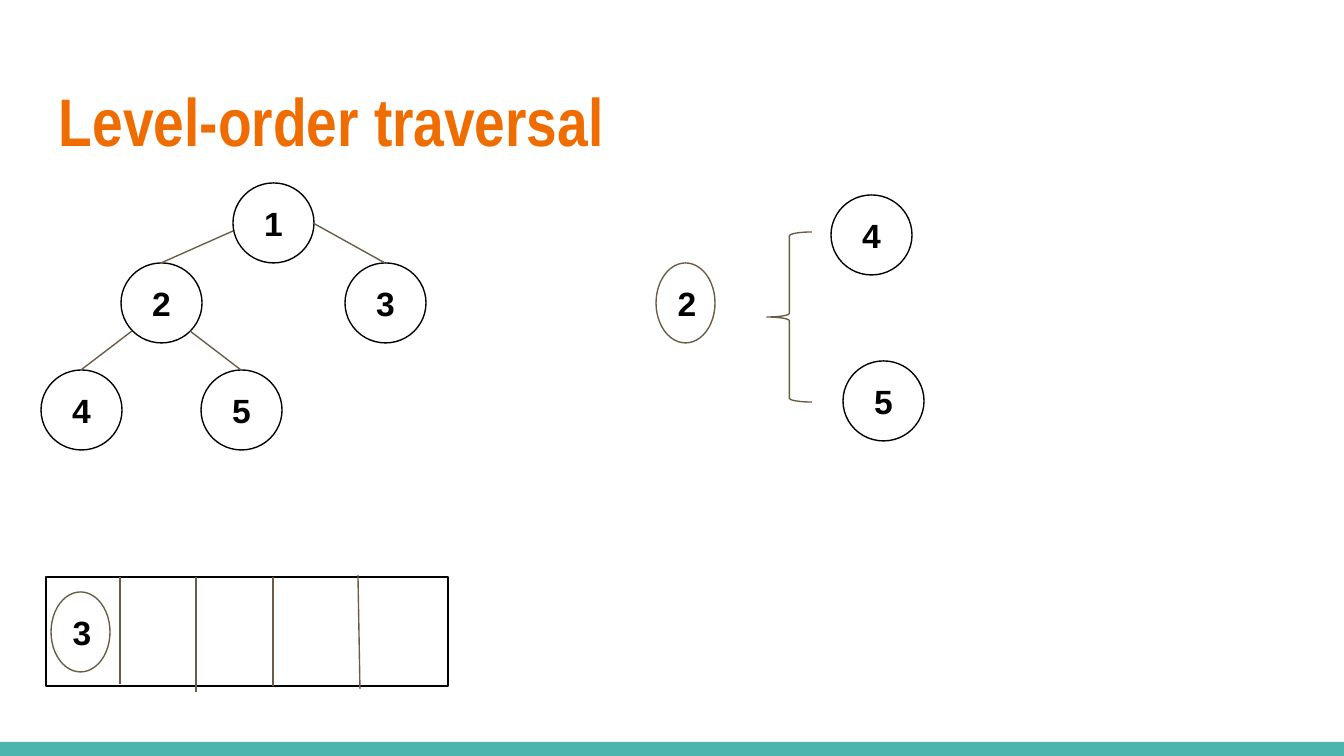
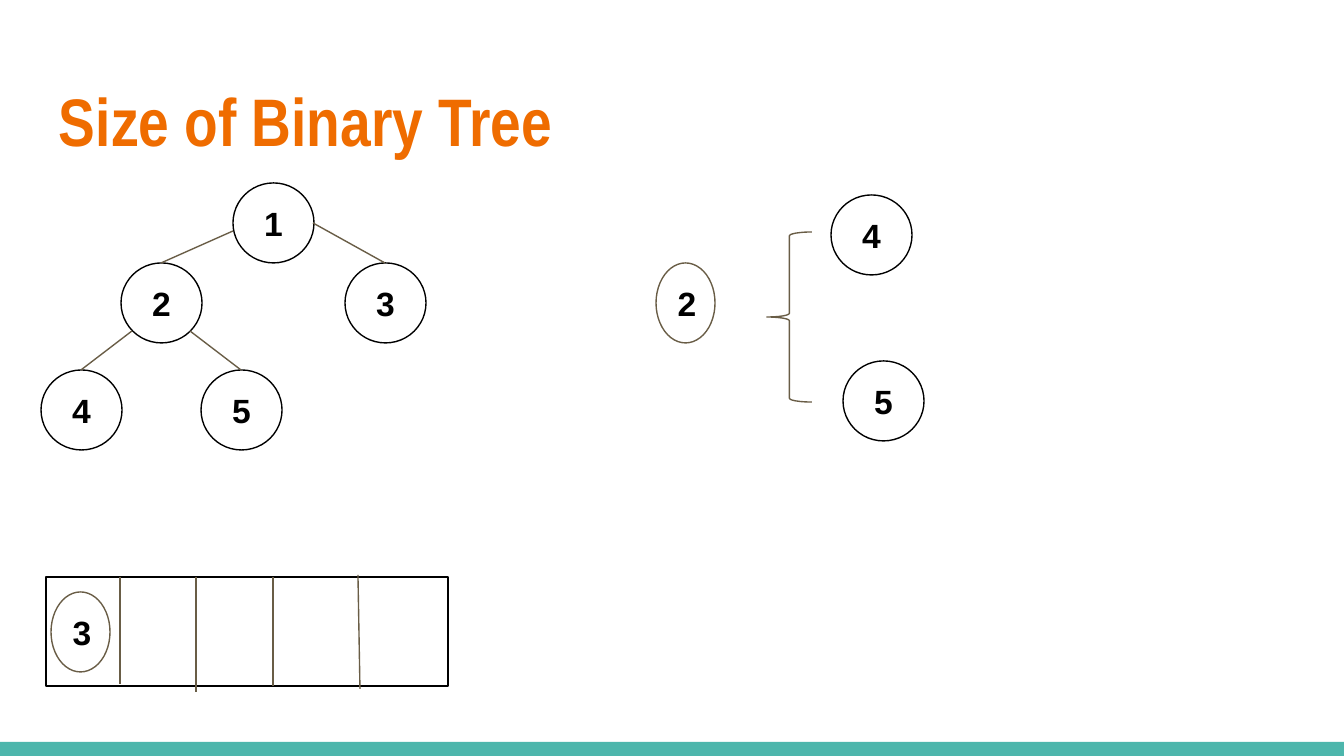
from dataclasses import dataclass

from lxml.etree import SubElement
from pptx import Presentation
from pptx.dml.color import RGBColor as Rgb
from pptx.enum.shapes import MSO_CONNECTOR as Link, MSO_SHAPE as Shape
from pptx.enum.text import MSO_ANCHOR as Anchor, PP_ALIGN as Align
from pptx.oxml.ns import qn
from pptx.util import Pt

TITLES = ["Level-order traversal", "Size of Binary Tree"]
TREE_NODES = {"1": (273, 223), "3": (385, 303), "2": (161, 303), "4": (81, 410), "5": (241, 410)}
TREE_EDGES = [
    ("1", "2", (-40, 8)),
    ("2", "4", (-29, 28)),
    ("1", "3", (40, 0)),
    ("2", "5", (29, 28)),
]
QUEUE_BOX = (46, 577, 402, 109)
QUEUE_DIVIDERS = [
    ((120, 577), (120, 684)),
    ((196, 577), (196, 692)),
    ((273, 577), (273, 686)),
    ((358, 575), (360, 689)),
]
TOKENS = [("3", (80, 632)), ("2", (685, 303))]
BRACE_BOX = (767, 232, 45, 170)
CHILDREN = [("4", (871, 235)), ("5", (883, 401))]

PAGE = (1344, 756)
FOOTER_BOX = (0, 742, 1344, 14)
TITLE_BOX = (46, 66, 1252, 103)
NODE_SIZE = (81, 80)
TOKEN_SIZE = (59, 80)
INSET = 13


@dataclass(frozen=True)
class Theme:
    paper: Rgb = Rgb.from_string("FFFFFF")
    ink: Rgb = Rgb.from_string("000000")
    title: Rgb = Rgb.from_string("EF6C00")
    footer: Rgb = Rgb.from_string("4DB6AC")
    line: Rgb = Rgb.from_string("695D46")
    title_font: str = "Arial Narrow"
    label_font: str = "Arial"
    title_size: int = 36
    label_size: int = 18
    stroke: float = 0.75


THEME = Theme()


def px(*lengths):
    return [round(length * 914400 / 134.4) for length in lengths]


def write(holder, text, font, size, color, align, anchor):
    frame = holder.text_frame
    frame.word_wrap = True
    frame.vertical_anchor = anchor
    inset, = px(INSET)
    frame.margin_left = frame.margin_right = inset
    frame.margin_top = frame.margin_bottom = inset
    paragraph = frame.paragraphs[0]
    paragraph.alignment = align
    run = paragraph.add_run()
    run.text = text
    run.font.name = font
    run.font.size = Pt(size)
    run.font.bold = True
    run.font.color.rgb = color


def draw(slide, kind, box, fill=None, line=None):
    figure = slide.shapes.add_shape(kind, *px(*box))
    figure.shadow.inherit = False
    if fill is None:
        figure.fill.background()
    else:
        figure.fill.solid()
        figure.fill.fore_color.rgb = fill
    if line is None:
        figure.line.fill.background()
    else:
        figure.line.color.rgb = line
        figure.line.width = Pt(THEME.stroke)
    return figure


def draw_circle(slide, label, center, size=NODE_SIZE, line=THEME.ink, align=Align.CENTER):
    (x, y), (width, height) = center, size
    box = (x - width // 2, y - height // 2, width, height)
    circle = draw(slide, Shape.OVAL, box, THEME.paper, line)
    write(circle, label, THEME.label_font, THEME.label_size, THEME.ink, align, Anchor.MIDDLE)


def draw_line(slide, start, end):
    stroke = slide.shapes.add_connector(Link.STRAIGHT, *px(*start, *end))
    stroke.line.color.rgb = THEME.line
    stroke.line.width = Pt(THEME.stroke)
    SubElement(stroke._element.spPr, qn("a:effectLst"))


def draw_tree(slide):
    for label, center in TREE_NODES.items():
        draw_circle(slide, label, center)
    for parent, child, (dx, dy) in TREE_EDGES:
        x, y = TREE_NODES[parent]
        child_x, child_y = TREE_NODES[child]
        draw_line(slide, (x + dx, y + dy), (child_x, child_y - NODE_SIZE[1] // 2))


def draw_queue(slide):
    draw(slide, Shape.RECTANGLE, QUEUE_BOX, THEME.paper, THEME.ink)
    for start, end in QUEUE_DIVIDERS:
        draw_line(slide, start, end)


def draw_visit(slide):
    for label, center in TOKENS:
        draw_circle(slide, label, center, TOKEN_SIZE, THEME.line, Align.LEFT)
    draw(slide, Shape.LEFT_BRACE, BRACE_BOX, line=THEME.line)
    for label, center in CHILDREN:
        draw_circle(slide, label, center)


def add_page(deck, title):
    slide = deck.slides.add_slide(deck.slide_layouts[6])
    slide.background.fill.solid()
    slide.background.fill.fore_color.rgb = THEME.paper
    draw(slide, Shape.RECTANGLE, FOOTER_BOX, THEME.footer)
    heading = slide.shapes.add_textbox(*px(*TITLE_BOX))
    write(heading, title, THEME.title_font, THEME.title_size, THEME.title, Align.LEFT, Anchor.TOP)
    draw_tree(slide)
    draw_queue(slide)
    draw_visit(slide)


def main():
    """Build the binary tree slides."""
    deck = Presentation()
    deck.slide_width, deck.slide_height = px(*PAGE)
    for title in TITLES:
        add_page(deck, title)
    deck.save("out.pptx")


if __name__ == "__main__":
    main()
